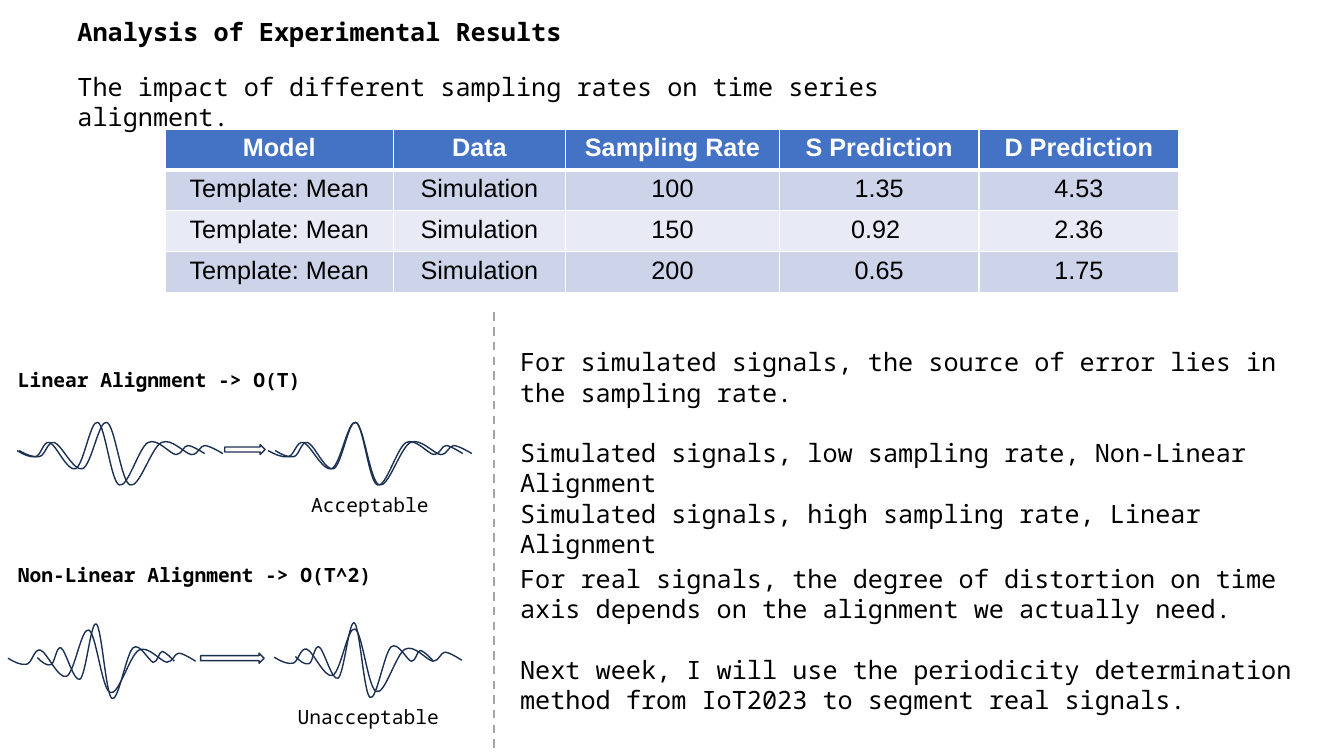
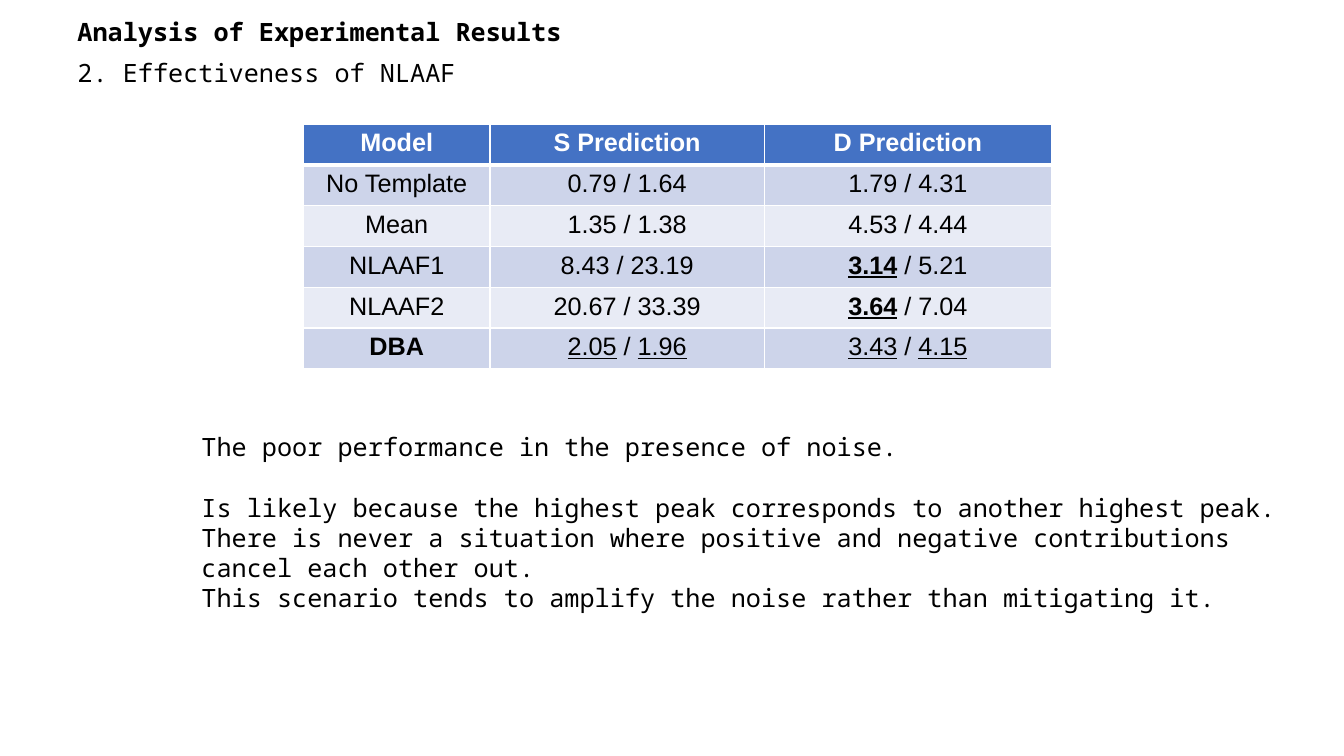
from dataclasses import dataclass

from lxml import etree
from pptx import Presentation
from pptx import util as u
from pptx.dml.color import RGBColor
from pptx.enum import dml, shapes, text
from pptx.oxml import ns


@dataclass(frozen=True)
class Theme:
    mono: str = "Noto Sans Mono"
    sans: str = "Arial"
    body: int = 18
    label: int = 14
    gap: float = 21.6  # height of one body line, in points
    black: str = "000000"
    white: str = "FFFFFF"
    header: str = "4472C4"
    bands: tuple = ("CDD4EA", "E8EBF5")
    divider: str = "A5A5A5"
    wave: str = "1C3052"


THEME = Theme()
TITLE = "Analysis of Experimental Results"

# One signal in inches: a start point, then cubic curves (two controls, end)
WAVE_WIDTH, WAVE_HEIGHT = 2.02, 0.63
WAVE_START = (0, 0.28)
WAVE_CURVES = [
    ((0.07, 0.32), (0.14, 0.35), (0.20, 0.34)),
    ((0.26, 0.33), (0.28, 0.18), (0.35, 0.20)),
    ((0.42, 0.22), (0.54, 0.49), (0.63, 0.46)),
    ((0.72, 0.42), (0.79, -0.03), (0.87, 0)),
    ((0.95, 0.03), (1.01, 0.59), (1.10, 0.62)),
    ((1.19, 0.66), (1.31, 0.25), (1.41, 0.20)),
    ((1.51, 0.15), (1.64, 0.31), (1.71, 0.32)),
    ((1.78, 0.32), (1.79, 0.23), (1.84, 0.23)),
    ((1.89, 0.23), (2.02, 0.31), (2.02, 0.31)),
]

# Left, top, width and height of each signal
LINEAR_WAVES = [(0.19, 4.19, 2.02, 0.63), (0.17, 4.19, 1.86, 0.63),
                (2.66, 4.19, 2.02, 0.63), (2.73, 4.19, 1.86, 0.63)]
NONLINEAR_WAVES = [(0.37, 6.19, 1.36, 0.75), (0.08, 6.25, 1.86, 0.63),
                   (2.93, 6.18, 1.36, 0.75), (2.72, 6.24, 1.86, 0.63)]
ARROWS = [(2.23, 4.41, 0.4, 0.1), (1.99, 6.48, 0.63, 0.1)]

# Table cells are a string, or a list of (text, format) runs
RATE_ROWS = [["Model", "Data", "Sampling Rate", "S Prediction", "D Prediction"]] + [
    ["Template: Mean", "Simulation", *values]
    for values in (("100", "1.35", "4.53"), ("150", "0.92 ", "2.36"), ("200", "0.65", "1.75"))
]
UNDERLINED = {"underline": True}
BEST = {"bold": True, "underline": True}
MODEL_ROWS = [
    ["Model", "S Prediction", "D Prediction"],
    ["No Template", "0.79 / 1.64", "1.79 / 4.31"],
    ["Mean", "1.35 / 1.38", "4.53 / 4.44"],
    ["NLAAF1", "8.43 / 23.19", [("3.14", BEST), (" / 5.21", {})]],
    ["NLAAF2", "20.67 / 33.39", [("3.64", BEST), (" / 7.04", {})]],
    [[("DBA", {"bold": True})],
     [("2.05", UNDERLINED), (" / ", {}), ("1.96", UNDERLINED)],
     [("3.43", UNDERLINED), (" / ", {}), ("4.15", UNDERLINED)]],
]


def inches(*lengths):
    return [u.Inches(length) for length in lengths]


def color(value):
    return RGBColor.from_string(value)


def add_run(paragraph, content, font=THEME.mono, size=THEME.body, ink=THEME.black,
            bold=False, underline=False):
    run = paragraph.add_run()
    run.text = content
    run.font.name = font
    run.font.size = u.Pt(size)
    run.font.bold = bold
    run.font.underline = underline
    run.font.color.rgb = color(ink)


def add_text(slide, box, *lines, centered=False, gap_before=None, **style):
    """Write one paragraph per line; gap_before names the line set apart."""
    frame = slide.shapes.add_textbox(*inches(*box)).text_frame
    frame.word_wrap = True
    frame.auto_size = text.MSO_AUTO_SIZE.SHAPE_TO_FIT_TEXT
    for index, line in enumerate(lines):
        paragraph = frame.add_paragraph() if index else frame.paragraphs[0]
        if centered:
            paragraph.alignment = text.PP_ALIGN.CENTER
        if index == gap_before:
            paragraph.space_before = u.Pt(THEME.gap)
        add_run(paragraph, line, **style)


def add_heading(slide, subtitle, subtitle_top, subtitle_width):
    add_text(slide, (0.67, 0.11, 5.01, 0.4), TITLE, bold=True)
    add_text(slide, (0.67, subtitle_top, subtitle_width, 0.4), subtitle)


def set_borders(cell, widths):
    """Draw white borders; widths in points for left, right, top, bottom."""
    properties = cell._tc.get_or_add_tcPr()
    for index, (side, width) in enumerate(zip("LRTB", widths)):
        border = etree.Element(ns.qn(f"a:ln{side}"), w=str(u.Pt(width)))
        fill = etree.SubElement(border, ns.qn("a:solidFill"))
        etree.SubElement(fill, ns.qn("a:srgbClr"), val=THEME.white)
        properties.insert(index, border)


def add_table(slide, left, top, widths, height, rows):
    box = inches(left, top, sum(widths), height)
    table = slide.shapes.add_table(len(rows), len(widths), *box).table
    for column, width in zip(table.columns, widths):
        column.width = u.Inches(width)
    for row_index, row in enumerate(rows):
        is_header = row_index == 0
        fill = THEME.header if is_header else THEME.bands[(row_index - 1) % 2]
        base = {"font": THEME.sans, "bold": is_header,
                "ink": THEME.white if is_header else THEME.black}
        borders = (1, 1, 3 if row_index == 1 else 1, 3 if is_header else 1)
        for column_index, content in enumerate(row):
            cell = table.cell(row_index, column_index)
            cell.fill.solid()
            cell.fill.fore_color.rgb = color(fill)
            set_borders(cell, borders)
            paragraph = cell.text_frame.paragraphs[0]
            paragraph.alignment = text.PP_ALIGN.CENTER
            runs = [(content, {})] if isinstance(content, str) else content
            for words, extra in runs:
                add_run(paragraph, words, **{**base, **extra})


def outline(shape):
    shape.shadow.inherit = False
    shape.fill.background()
    shape.line.color.rgb = color(THEME.wave)
    shape.line.width = u.Pt(1)


def add_wave(slide, left, top, width, height):
    def place(point):
        x, y = point
        return inches(left + x * width / WAVE_WIDTH, top + y * height / WAVE_HEIGHT)

    builder = slide.shapes.build_freeform(*place(WAVE_START))
    builder.add_line_segments([place(curve[-1]) for curve in WAVE_CURVES], close=False)
    wave = builder.convert_to_shape()
    outline(wave)

    # Bend each straight segment into its cubic curve
    segments = list(wave._element.iter(ns.qn("a:lnTo")))
    for segment, curve in zip(segments, WAVE_CURVES):
        bend = etree.Element(ns.qn("a:cubicBezTo"))
        for x, y in map(place, curve):
            etree.SubElement(bend, ns.qn("a:pt"), x=str(x - wave.left), y=str(y - wave.top))
        segment.getparent().replace(segment, bend)


def add_arrow(slide, box):
    outline(slide.shapes.add_shape(shapes.MSO_SHAPE.RIGHT_ARROW, *inches(*box)))


def add_divider(slide, x, top, bottom):
    line = slide.shapes.add_connector(shapes.MSO_CONNECTOR.STRAIGHT,
                                      *inches(x, top, x, bottom))
    line.line.color.rgb = color(THEME.divider)
    line.line.width = u.Pt(1.5)
    line.line.dash_style = dml.MSO_LINE.DASH
    etree.SubElement(line._element.spPr, ns.qn("a:effectLst"))


def build_sampling_slide(slide):
    add_heading(slide, "The impact of different sampling rates on time series alignment.",
                0.66, 9.21)
    add_table(slide, 1.64, 1.28, [2.26, 1.71, 2.12, 1.98, 1.98], 1.62, RATE_ROWS)
    add_divider(slide, 4.9, 3.1, 7.47)

    # Alignment sketches
    for top, width, label in ((3.6, 3.72, "Linear Alignment -> O(T)"),
                              (5.54, 4, "Non-Linear Alignment -> O(T^2)")):
        add_text(slide, (0.08, top, width, 0.34), label, size=THEME.label, bold=True)
    for box in LINEAR_WAVES + NONLINEAR_WAVES:
        add_wave(slide, *box)
    for box in ARROWS:
        add_arrow(slide, box)
    for box, verdict in (((2.86, 4.84, 1.62, 0.34), "Acceptable"),
                         ((2.54, 6.94, 2.23, 0.34), "Unacceptable")):
        add_text(slide, box, verdict, size=THEME.label, centered=True)

    # Conclusions
    add_text(slide, (5.06, 3.39, 8.28, 1.62),
             "For simulated signals, the source of error lies in the sampling rate.",
             "Simulated signals, low sampling rate, Non-Linear Alignment",
             "Simulated signals, high sampling rate, Linear Alignment", gap_before=1)
    add_text(slide, (5.06, 5.54, 8.28, 1.62),
             "For real signals, the degree of distortion on time axis depends on "
             "the alignment we actually need.",
             "Next week, I will use the periodicity determination method from "
             "IoT2023 to segment real signals.", gap_before=1)


def build_effectiveness_slide(slide):
    add_heading(slide, "2. Effectiveness of NLAAF", 0.52, 4.13)
    add_table(slide, 3.01, 1.23, [1.85, 2.72, 2.85], 2.43, MODEL_ROWS)
    add_text(slide, (1.9, 4.23, 11.02, 1.92),
             "The poor performance in the presence of noise.",
             "Is likely because the highest peak corresponds to another highest peak.",
             "There is never a situation where positive and negative contributions "
             "cancel each other out.",
             "This scenario tends to amplify the noise rather than mitigating it.",
             gap_before=1)


def main():
    presentation = Presentation()
    presentation.slide_width, presentation.slide_height = inches(13.33, 7.5)
    blank = presentation.slide_layouts[6]
    for build in (build_sampling_slide, build_effectiveness_slide):
        build(presentation.slides.add_slide(blank))
    presentation.save("out.pptx")


if __name__ == "__main__":
    main()
